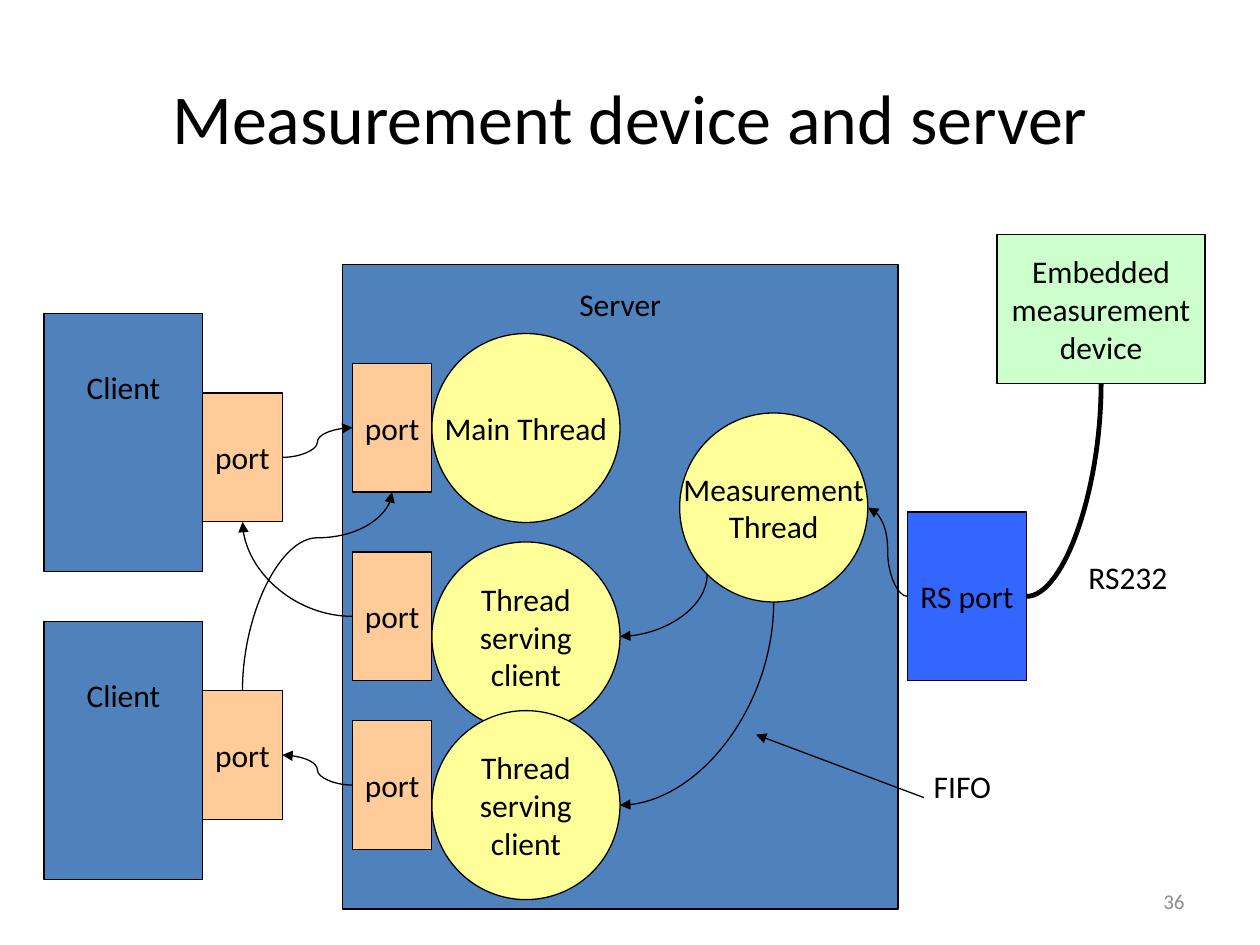
from lxml.etree import SubElement
from pptx import Presentation
from pptx.dml.color import RGBColor
from pptx.enum.shapes import MSO_CONNECTOR, MSO_SHAPE
from pptx.enum.text import MSO_ANCHOR, PP_ALIGN
from pptx.oxml.ns import qn
from pptx.util import Pt

BLACK = RGBColor(0x00, 0x00, 0x00)
GRAY = RGBColor(0x8C, 0x8C, 0x8C)
STEEL = RGBColor(0x4F, 0x81, 0xBD)
BLUE = RGBColor(0x33, 0x66, 0xFF)
YELLOW = RGBColor(0xFF, 0xFF, 0x99)
PEACH = RGBColor(0xFF, 0xCC, 0x99)
GREEN = RGBColor(0xCC, 0xFF, 0xCC)


class Diagram:
    """Draws the elements of a block diagram on one slide in a shared style."""

    font = "Calibri"
    size = 18
    line_width = 0.75

    def __init__(self, slide):
        self.slide = slide

    def fill_text(self, frame, text, size, color, align):
        for index, content in enumerate(text.split("\n\n")):
            paragraph = frame.add_paragraph() if index else frame.paragraphs[0]
            paragraph.alignment = align
            for number, words in enumerate(content.split("\n")):
                if number:
                    paragraph.add_line_break()
                run = paragraph.add_run()
                run.text = words
                run.font.name = self.font
                run.font.size = Pt(size)
                run.font.color.rgb = color

    def label(self, text, left, top, width, height, size=size, color=BLACK,
              align=PP_ALIGN.LEFT, anchor=MSO_ANCHOR.TOP, wrap=False):
        box = self.slide.shapes.add_textbox(Pt(left), Pt(top), Pt(width), Pt(height))
        box.text_frame.word_wrap = wrap
        box.text_frame.vertical_anchor = anchor
        self.fill_text(box.text_frame, text, size, color, align)

    def block(self, text, left, top, width, height, fill,
              kind=MSO_SHAPE.RECTANGLE, text_top=None):
        shape = self.slide.shapes.add_shape(kind, Pt(left), Pt(top), Pt(width), Pt(height))
        shape.shadow.inherit = False
        shape.fill.solid()
        shape.fill.fore_color.rgb = fill
        shape.line.color.rgb = BLACK
        shape.line.width = Pt(self.line_width)
        frame = shape.text_frame
        frame.word_wrap = False
        frame.vertical_anchor = MSO_ANCHOR.MIDDLE
        if text_top is not None:
            frame.vertical_anchor = MSO_ANCHOR.TOP
            frame.margin_top = Pt(text_top)
        self.fill_text(frame, text, self.size, BLACK, PP_ALIGN.CENTER)

    def thread(self, text, left, top):
        self.block(text, left, top, 107.5, 108, YELLOW, MSO_SHAPE.OVAL)

    def port(self, left, top):
        self.block("port", left, top, 45.4, 73.6, PEACH)

    def client(self, top):
        self.block("Client", 25.2, top, 90.7, 147.5, STEEL, text_top=31)

    def connect(self, kind, start, end, width=line_width, arrow=True):
        connector = self.slide.shapes.add_connector(kind, *map(Pt, (*start, *end)))
        connector.line.color.rgb = BLACK
        connector.line.width = Pt(width)
        properties = connector._element.spPr
        if arrow:
            SubElement(properties.find(qn("a:ln")), qn("a:tailEnd"), type="triangle")
        SubElement(properties, qn("a:effectLst"))
        return properties

    def curve(self, start, end, vertical=False, bend=None, width=line_width, arrow=True):
        across_x, down_y = end[0] - start[0], end[1] - start[1]
        along, aside = (down_y, -across_x) if vertical else (across_x, down_y)
        turn = 90 if vertical else 0
        if along < 0:
            along, aside, turn = -along, -aside, turn + 180
        middle_x, middle_y = (start[0] + end[0]) / 2, (start[1] + end[1]) / 2
        properties = self.connect(
            MSO_CONNECTOR.CURVE,
            (middle_x - along / 2, middle_y - aside / 2),
            (middle_x + along / 2, middle_y + aside / 2), width, arrow)
        if turn:
            properties.find(qn("a:xfrm")).set("rot", str(turn * 60000))
        geometry = properties.find(qn("a:prstGeom"))
        if bend is None:
            geometry.set("prst", "curvedConnector2")
        else:
            SubElement(geometry.find(qn("a:avLst")), qn("a:gd"),
                       name="adj1", fmla=f"val {round(bend * 100000)}")


presentation = Presentation()
presentation.slide_width = Pt(720)
presentation.slide_height = Pt(540)
diagram = Diagram(presentation.slides.add_slide(presentation.slide_layouts[6]))

diagram.label("Measurement device and server", 36, 21.6, 648, 90, size=40,
              align=PP_ALIGN.CENTER, anchor=MSO_ANCHOR.MIDDLE, wrap=True)
diagram.label("36", 516, 500.5, 168, 28.8, size=12, color=GRAY,
              align=PP_ALIGN.RIGHT, anchor=MSO_ANCHOR.MIDDLE, wrap=True)

diagram.block("Server", 195.7, 151, 317.5, 368.5, STEEL, text_top=12)
for text, left, top in (
    ("Main Thread", 246.8, 190.6),
    ("Thread\nserving\n\nclient", 246.8, 309.7),
    ("Thread\nserving\n\nclient", 246.8, 406.1),
    ("Measurement\nThread", 388.4, 236),
):
    diagram.thread(text, left, top)
for top in (179.3, 355):
    diagram.client(top)
for left, top in ((115.9, 224.6), (115.9, 394.6),
                  (201.4, 207.6), (201.4, 315.4), (201.4, 411.8)):
    diagram.port(left, top)
diagram.block("Embedded\nmeasurement\ndevice", 569.7, 134, 119, 85, GREEN)
diagram.block("RS port", 518.6, 292.6, 67.9, 96.3, BLUE)

diagram.curve((161.3, 261.4), (201.4, 244.4), bend=0.5)
diagram.curve((201.4, 352.2), (138.6, 298.2))
diagram.curve((201.4, 448.6), (161.3, 431.4), bend=0.5)
diagram.curve((138.6, 394.6), (224.1, 281.2), vertical=True, bend=0.77)
diagram.curve((518.6, 340.8), (495.9, 290), bend=0.5)
diagram.curve((404.1, 328.2), (354.3, 363.7), vertical=True)
diagram.curve((442.1, 344), (354.3, 460.1), vertical=True)
diagram.curve((629.2, 219), (586.5, 340.8), vertical=True, width=2.75, arrow=False)
diagram.connect(MSO_CONNECTOR.STRAIGHT, (528, 455.8), (432, 419.8))

diagram.label("RS232", 614.9, 315.4, 69.8, 28.8)
diagram.label("FIFO", 526.5, 434.9, 47.5, 28.8)

presentation.save("out.pptx")
